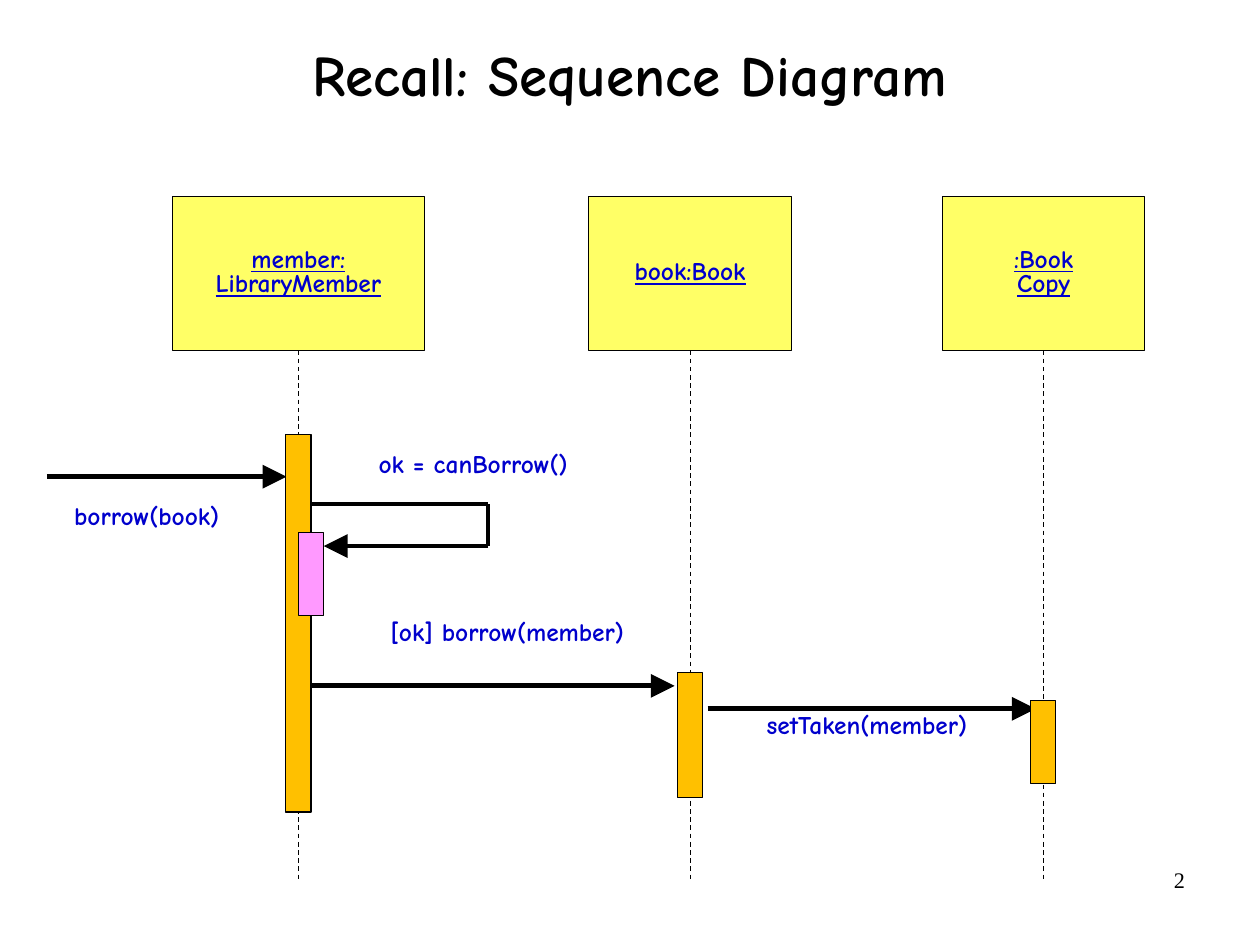
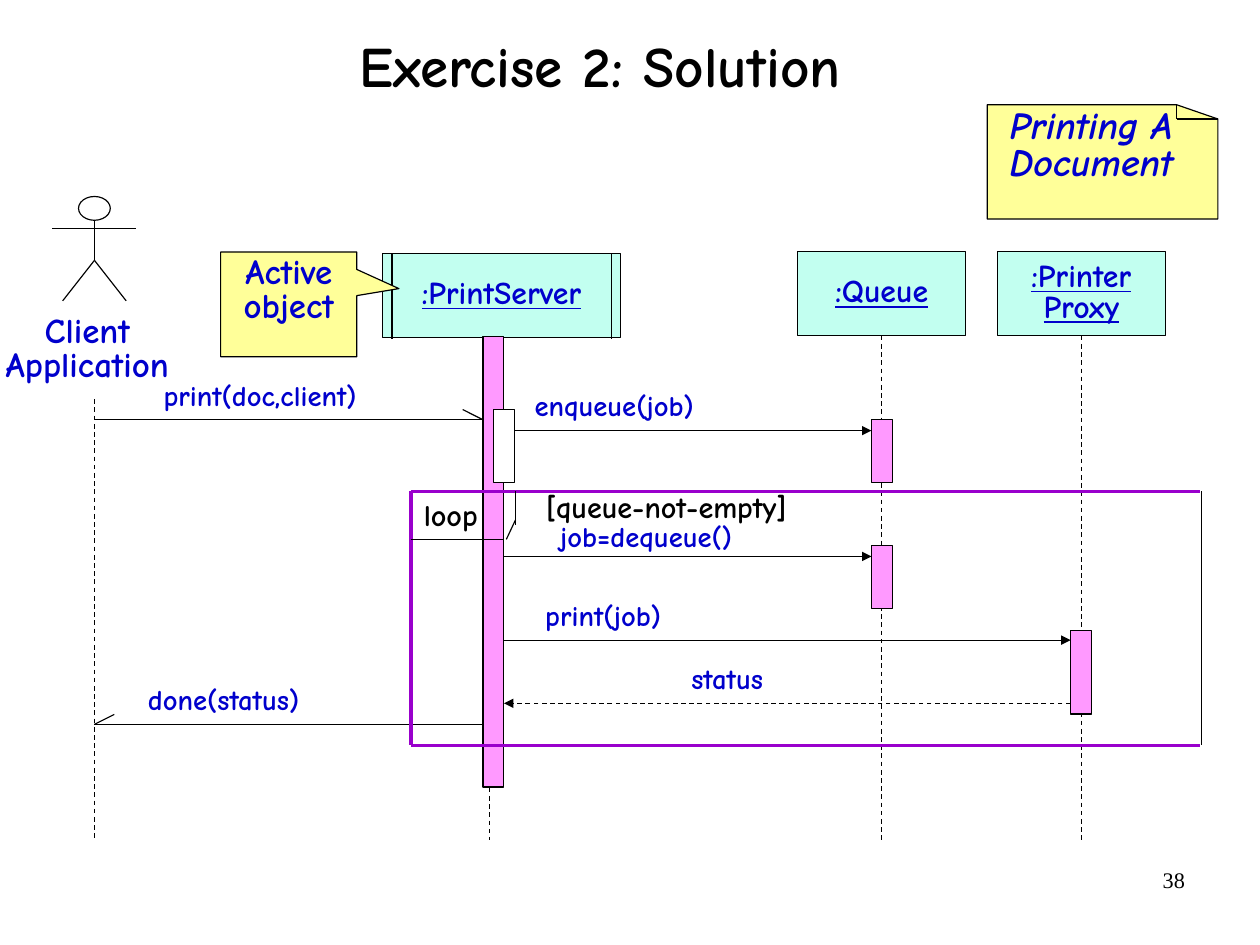
"""Builds two slides with UML sequence diagrams."""
from lxml import etree
from pptx import Presentation
from pptx.dml.color import RGBColor
from pptx.enum.dml import MSO_LINE
from pptx.enum.shapes import MSO_CONNECTOR, MSO_SHAPE
from pptx.enum.text import MSO_ANCHOR, PP_ALIGN
from pptx.oxml.ns import qn
from pptx.util import Pt

STRAIGHT = MSO_CONNECTOR.STRAIGHT
DASH = MSO_LINE.DASH
RECTANGLE, OVAL = MSO_SHAPE.RECTANGLE, MSO_SHAPE.OVAL
CALLOUT = MSO_SHAPE.RECTANGULAR_CALLOUT
TOP, MIDDLE = MSO_ANCHOR.TOP, MSO_ANCHOR.MIDDLE
LEFT, CENTER, RIGHT = PP_ALIGN.LEFT, PP_ALIGN.CENTER, PP_ALIGN.RIGHT


class Theme:
    font, number_font = "Comic Neue", "Times New Roman"
    black, white = RGBColor(0, 0, 0), RGBColor(255, 255, 255)
    blue = RGBColor.from_string("0000CC")
    yellow = RGBColor.from_string("FFFF66")
    note = RGBColor.from_string("FFFF99")
    orange = RGBColor.from_string("FFC000")
    pink = RGBColor.from_string("FF99FF")
    mint = RGBColor.from_string("C2FFF0")
    purple = RGBColor.from_string("9900CC")
    title, note_size, actor, head, guard, message, small, number = 36, 24, 22, 20, 19, 18, 16, 14
    thin, frame, thick = 0.75, 2.25, 3
    tight, title_spacing = 0.8, 0.88


def add_box(slide, bounds, text="", size=Theme.small, preset=None, fill=None,
            color=Theme.blue, align=LEFT, anchor=TOP, spacing=Theme.tight,
            font=Theme.font, bold=True, italic=False, underline=False, wrap=False):
    lengths = [Pt(value) for value in bounds]
    if preset is None:
        shape = slide.shapes.add_textbox(*lengths)
    else:
        shape = slide.shapes.add_shape(preset, *lengths)
        shape.shadow.inherit = False
        shape.line.color.rgb = Theme.black
        shape.line.width = Pt(Theme.thin)
        if fill is None:
            shape.fill.background()
        else:
            shape.fill.solid()
            shape.fill.fore_color.rgb = fill
    if text:
        frame = shape.text_frame
        frame.margin_left = frame.margin_right = Pt(7.5)
        frame.margin_top = frame.margin_bottom = Pt(3.75)
        frame.word_wrap = wrap
        frame.vertical_anchor = anchor
        frame.text = text
        for paragraph in frame.paragraphs:
            paragraph.alignment = align
            paragraph.line_spacing = spacing
            paragraph.font.name = font
            paragraph.font.size = Pt(size)
            paragraph.font.bold = bold
            paragraph.font.italic = italic
            paragraph.font.underline = underline
            paragraph.font.color.rgb = color
    return shape


def add_line(slide, points, width=Theme.thin, color=Theme.black, dash=False, arrow=None):
    for start, end in zip(points, points[1:]):
        connector = slide.shapes.add_connector(
            STRAIGHT, *[Pt(value) for value in (*start, *end)])
        connector.line.color.rgb = color
        connector.line.width = Pt(width)
        if dash:
            connector.line.dash_style = DASH
        properties = connector._element.spPr
        if arrow and end == points[-1]:
            etree.SubElement(properties.find(qn("a:ln")), qn("a:tailEnd"),
                             type="triangle", w=arrow, len=arrow)
        etree.SubElement(properties, qn("a:effectLst"))


presentation = Presentation()
presentation.slide_width, presentation.slide_height = Pt(793.75), Pt(595.25)
slides = []
for title, title_bounds, number in [
    ("Recall: Sequence Diagram", (58, 0, 677, 98.5), "2"),
    ("Exercise 2: Solution", (39.5, 0, 677, 87.5), "38"),
]:
    slide = presentation.slides.add_slide(presentation.slide_layouts[6])
    add_box(slide, title_bounds, title, Theme.title, color=Theme.black,
            align=CENTER, anchor=MIDDLE, spacing=Theme.title_spacing, wrap=True)
    add_box(slide, (569, 542, 185, 41), number, Theme.number, color=Theme.black,
            align=RIGHT, spacing=1.0, font=Theme.number_font, bold=False, wrap=True)
    slides.append(slide)
borrow_slide, print_slide = slides

for name, left, width in [
    ("member:\nLibraryMember", 108.5, 159),
    ("book:Book", 371, 127.5),
    (":Book\nCopy", 593.75, 127.5),
]:
    add_box(borrow_slide, (left, 123.75, width, 97), name, preset=RECTANGLE,
            fill=Theme.yellow, align=CENTER, anchor=MIDDLE, underline=True)
    center = left + width / 2
    add_line(borrow_slide, [(center, 220.75), (center, 556)], dash=True)

for points in [
    [(29.5, 300.25), (180.5, 300.25)],
    [(196, 317.5), (307.5, 317.5), (307.5, 344), (204, 344)],
    [(196, 432), (425, 432)],
    [(445.75, 446.5), (652.5, 446.5)],
]:
    add_line(borrow_slide, points, Theme.thick, arrow="lg")

for left, top, height, fill in [
    (180, 273.5, 238, Theme.orange),
    (188, 335.25, 52.5, Theme.pink),
    (426.75, 423.5, 79, Theme.orange),
    (649.25, 441.25, 52.5, Theme.orange),
]:
    add_box(borrow_slide, (left, top, 16, height), preset=RECTANGLE, fill=fill)

for text, left, top, width in [
    ("borrow(book)", 39.25, 315.25, 114),
    ("ok = canBorrow()", 231, 282, 142),
    ("[ok] borrow(member)", 238.5, 388, 170),
    ("setTaken(member)", 475.5, 446.5, 150),
]:
    add_box(borrow_slide, (left, top, width, 23), text)

add_box(print_slide, (49.5, 123.75, 20, 15), preset=OVAL)
for points in [
    [(39.5, 189.5), (59.5, 164), (79.5, 189.5)],
    [(59.5, 164), (59.5, 138.75)],
    [(33, 144), (86, 144)],
]:
    add_line(print_slide, points)
add_box(print_slide, (-4.5, 195.75, 119, 50), "Client\nApplication", Theme.actor,
        align=CENTER)
add_line(print_slide, [(59.5, 251.5), (59.5, 529)], dash=True)

for name, left, top, width, lifeline in [
    (":PrintServer", 241, 159.5, 150, 308.25),
    (":Queue", 502.5, 158.5, 106, 555.5),
    (":Printer\nProxy", 628.25, 158.5, 106, 681.25),
]:
    add_box(print_slide, (left, top, width, 53), name, Theme.head, RECTANGLE,
            Theme.mint, align=CENTER, anchor=MIDDLE, underline=True)
    add_line(print_slide, [(lifeline, top + 53), (lifeline, 529)], dash=True)
for edge in (247, 385):
    add_line(print_slide, [(edge, 159.5), (edge, 213.5)])

for left, top, height, fill in [
    (304.25, 211.75, 284, Theme.pink),
    (311, 258, 46, Theme.white),
    (549, 264.25, 39.75, Theme.pink),
    (549, 343.75, 39.75, Theme.pink),
    (674.5, 397, 52.75, Theme.pink),
]:
    add_box(print_slide, (left, top, 13, height), preset=RECTANGLE, fill=fill)

for start, end, height, dash in [
    (324, 549, 271.25, False),
    (317.5, 549, 350.5, False),
    (317.5, 674.5, 403.25, False),
    (674.5, 317.5, 443, True),
]:
    add_line(print_slide, [(start, height), (end, height)], dash=dash, arrow="med")
for points in [
    [(59.5, 264.25), (304, 264.25), (291.5, 258)],
    [(304.25, 456.25), (59.5, 456.25), (72, 450)],
]:
    add_line(print_slide, points)

for text, left, top, width in [
    ("print(doc,client)", 95.5, 238.25, 145),
    ("enqueue(job)", 329.25, 245, 124),
    ("job=dequeue()", 345.25, 327.25, 132),
    ("print(job)", 336, 377.25, 97),
    ("status", 428, 417, 68),
    ("done(status)", 85.75, 430, 119),
]:
    add_box(print_slide, (left, top, width, 25), text, Theme.message)

note_corners = [(622, 138), (767.25, 138), (767.25, 75), (741.25, 66)]
builder = print_slide.shapes.build_freeform(Pt(622), Pt(66))
builder.add_line_segments([(Pt(x), Pt(y)) for x, y in note_corners])
note = builder.convert_to_shape()
note.shadow.inherit = False
note.fill.solid()
note.fill.fore_color.rgb = Theme.note
note.line.color.rgb = Theme.black
note.line.width = Pt(Theme.thin)
add_line(print_slide, [(741.25, 66), (741.25, 75), (767.25, 75)])
add_box(print_slide, (628.5, 66, 130, 72), "Printing A\nDocument",
        Theme.note_size, italic=True, wrap=True)

callout = add_box(print_slide, (139, 158.75, 85.75, 66), "Active object", Theme.actor,
                  CALLOUT, Theme.note, align=CENTER, wrap=True)
callout.adjustments[0], callout.adjustments[1] = 0.81, -0.15

add_line(print_slide, [(756, 309.5), (259, 309.5), (259, 469.5), (756, 469.5)],
         Theme.frame, Theme.purple)
for points in [
    [(756.75, 309.5), (756.75, 469.5)],
    [(259, 339.75), (317, 339.75)],
    [(324.75, 309.5), (324.75, 330.5)],
    [(319, 339.75), (324.75, 327.5)],
]:
    add_line(print_slide, points)
for text, left, top, width in [
    ("loop", 259.5, 308.75, 57),
    ("[queue-not-empty]", 336.5, 303.75, 176),
]:
    add_box(print_slide, (left, top, width, 31), text, Theme.guard,
            color=Theme.black, spacing=1.0)

presentation.save("out.pptx")
